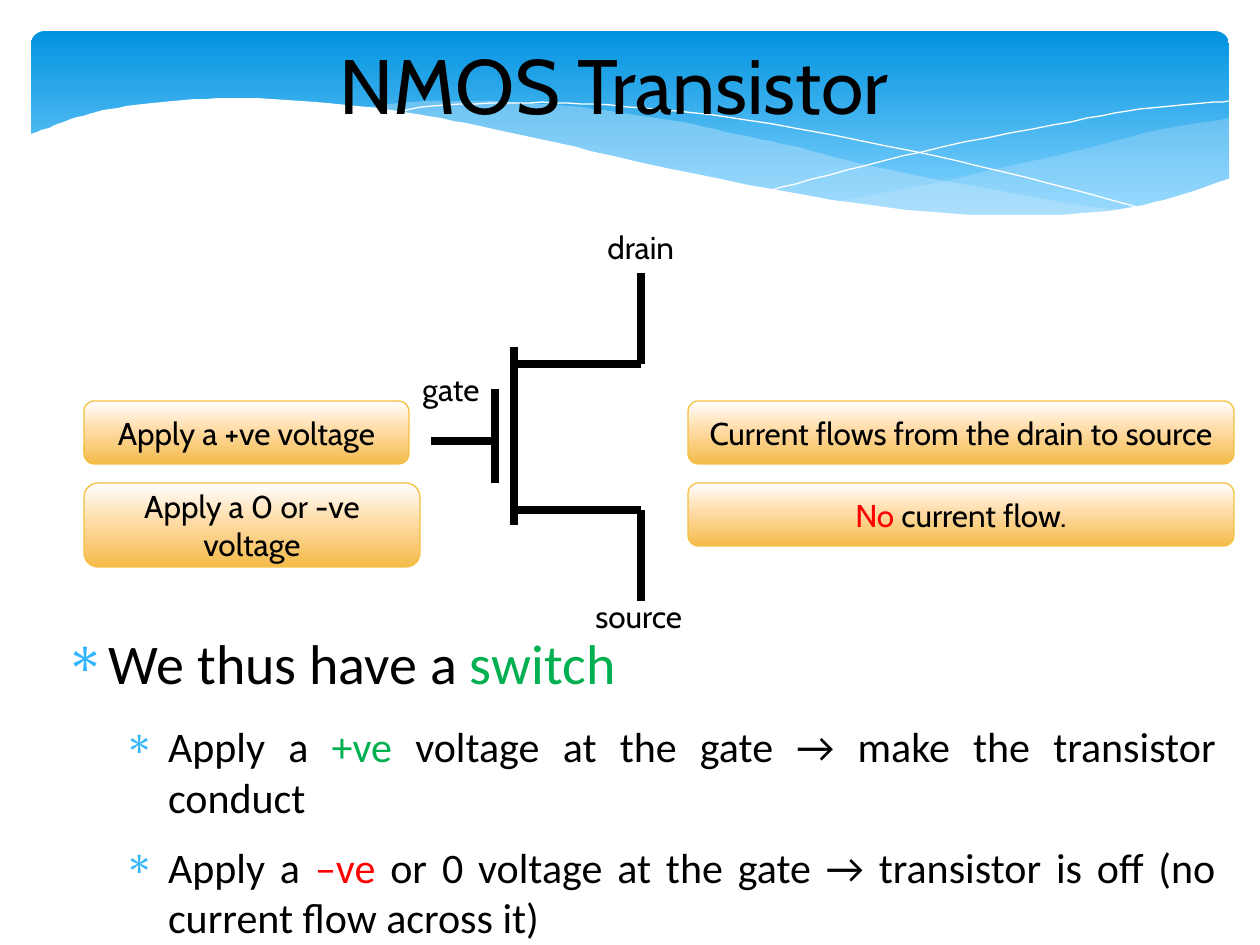
from typing import NamedTuple, Optional

from lxml import etree
from pptx import Presentation
from pptx import util as u
from pptx.dml.color import RGBColor
from pptx.enum import shapes, text
from pptx.oxml import ns

PX = 914400 / 126
BLACK = RGBColor(0, 0, 0)
WHITE = RGBColor(255, 255, 255)
RED = RGBColor(255, 0, 0)
GREEN = RGBColor(0x00, 0xB0, 0x50)
PALE_BLUE = RGBColor(0xC6, 0xE7, 0xFC)
BULLET_BLUE = RGBColor(0x31, 0xB6, 0xFD)
GOLD = RGBColor(0xF5, 0xC0, 0x40)
HEADER_STOPS = [(0, RGBColor(0x02, 0x93, 0xE0)), (90, RGBColor(0x83, 0xD3, 0xFE))]
CALLOUT_STOPS = [(0, WHITE), (44, RGBColor(0xFF, 0xDD, 0xAA)), (100, RGBColor(0xF4, 0xBB, 0x4A))]

Points = list[tuple[int, int]]


class Span(NamedTuple):
    words: str
    color: RGBColor = BLACK


class Callout(NamedTuple):
    left: int
    top: int
    width: int
    height: int
    spans: list[Span]


class Label(NamedTuple):
    left: int
    top: int
    width: int
    words: str


class Wave(NamedTuple):
    edges: list[Points]
    fill: Optional[RGBColor] = None
    alpha: int = 100


class Wire(NamedTuple):
    x1: int
    y1: int
    x2: int
    y2: int


class Bullet(NamedTuple):
    level: int
    size: int
    after: float
    spans: list[Span]


WAVES = [
    Wave([[(1229, 118), (1159, 130), (1085, 149), (1014, 165), (949, 180), (890, 192), (833, 202)],
          [(833, 202), (888, 208), (954, 214), (1026, 217), (1087, 214), (1130, 208),
           (1178, 197), (1213, 185), (1230, 178)]], PALE_BLUE, 29),
    Wave([[(1125, 210), (1091, 207), (1017, 194), (934, 179), (842, 159), (793, 146), (736, 134),
           (682, 122), (616, 112), (557, 105), (479, 101), (413, 102), (360, 108)],
          [(360, 108), (431, 118), (509, 134), (566, 146), (668, 170), (757, 189), (838, 203),
           (910, 212), (989, 217), (1043, 218), (1092, 214), (1125, 210)]], PALE_BLUE, 40),
    Wave([[(389, 113), (433, 106), (505, 103), (567, 103), (643, 108), (733, 118), (838, 136),
           (958, 161), (1047, 183), (1143, 209)]]),
    Wave([[(772, 190), (847, 170), (942, 147), (1053, 125), (1128, 111), (1182, 105), (1229, 101)]]),
    Wave([[(1231, 178), (1184, 194), (1133, 207), (1071, 214), (1019, 215), (959, 214), (892, 208),
           (816, 197), (730, 181), (634, 161), (563, 144), (493, 129), (428, 116), (368, 107),
           (315, 102), (243, 98), (184, 100), (134, 105), (96, 112), (66, 121), (45, 129), (29, 135)],
          [(29, 282), (1231, 282)]], WHITE),
]
CALLOUTS = [
    Callout(84, 401, 325, 63, [Span("Apply a +ve voltage")]),
    Callout(688, 401, 546, 63, [Span("Current flows from the drain to source")]),
    Callout(84, 483, 336, 84, [Span("Apply a 0 or -ve voltage")]),
    Callout(688, 483, 546, 63, [Span("No", RED), Span(" current flow.")]),
]
LABELS = [Label(595, 222, 94, "drain"), Label(583, 591, 116, "source"), Label(410, 364, 86, "gate")]
WIRES = [
    Wire(431, 441, 495, 441), Wire(495, 389, 495, 483), Wire(514, 347, 514, 525),
    Wire(514, 364, 641, 364), Wire(641, 273, 641, 364),
    Wire(514, 510, 641, 510), Wire(641, 510, 641, 601),
]
BULLETS = [
    Bullet(0, 32, 14.1, [Span("We thus have a "), Span("switch", GREEN)]),
    Bullet(1, 24, 11.3, [Span("Apply a "), Span("+ve ", GREEN),
                         Span("voltage at the gate → make the transistor conduct")]),
    Bullet(1, 24, 11.3, [Span("Apply a "), Span("–ve ", RED),
                         Span("or 0 voltage at the gate → transistor is off (no current flow across it)")]),
]


def px(*lengths: int) -> list[u.Emu]:
    return [u.Emu(round(length * PX)) for length in lengths]


def smooth(knots: Points, steps: int = 5) -> Points:
    padded = [knots[0], *knots, knots[-1]]
    curve = [knots[0]]
    for a, b, c, d in zip(padded, padded[1:], padded[2:], padded[3:]):
        for t in (step / steps for step in range(1, steps + 1)):
            curve.append(tuple(
                (2 * q + (r - p) * t + (2 * p - 5 * q + 4 * r - s) * t ** 2
                 + (3 * q - p - 3 * r + s) * t ** 3) / 2
                for p, q, r, s in zip(a, b, c, d)))
    return curve


def write(paragraph, spans: list[Span], size: int, font: str) -> None:
    for span in spans:
        run = paragraph.add_run()
        run.text = span.words
        run.font.size = u.Pt(size)
        run.font.name = font
        run.font.color.rgb = span.color


def fill_gradient(shape, stops: list[tuple[int, RGBColor]]) -> None:
    shape.fill.gradient()
    shape.fill.gradient_angle = 270
    stop_list = shape.fill._xPr.find(".//" + ns.qn("a:gsLst"))
    for old in list(stop_list):
        stop_list.remove(old)
    for percent, color in stops:
        stop = etree.SubElement(stop_list, ns.qn("a:gs"), pos=str(percent * 1000))
        etree.SubElement(stop, ns.qn("a:srgbClr"), val=str(color))


def draw_panel(slide, box: tuple[int, int, int, int], stops: list[tuple[int, RGBColor]]):
    panel = slide.shapes.add_shape(shapes.MSO_SHAPE.ROUNDED_RECTANGLE, *px(*box))
    panel.shadow.inherit = False
    fill_gradient(panel, stops)
    return panel


def draw_wave(slide, wave: Wave) -> None:
    outline = [point for edge in wave.edges for point in smooth(edge)]
    builder = slide.shapes.build_freeform(*outline[0], scale=PX)
    builder.add_line_segments(outline[1:], close=wave.fill is not None)
    ribbon = builder.convert_to_shape()
    ribbon.shadow.inherit = False
    if wave.fill is None:
        ribbon.fill.background()
        ribbon.line.color.rgb = WHITE
        ribbon.line.width = u.Pt(0)
        return
    ribbon.line.fill.background()
    ribbon.fill.solid()
    ribbon.fill.fore_color.rgb = wave.fill
    if wave.alpha < 100:
        color = ribbon._element.spPr.find(".//" + ns.qn("a:srgbClr"))
        etree.SubElement(color, ns.qn("a:alpha"), val=str(wave.alpha * 1000))


def draw_callout(slide, callout: Callout) -> None:
    button = draw_panel(slide, callout[:4], CALLOUT_STOPS)
    button.line.color.rgb = GOLD
    button.line.width = u.Pt(0.75)
    button.text_frame.word_wrap = True
    button.text_frame.vertical_anchor = text.MSO_ANCHOR.MIDDLE
    caption = button.text_frame.paragraphs[0]
    caption.alignment = text.PP_ALIGN.CENTER
    write(caption, callout.spans, 18, "Cabin")


def draw_label(slide, label: Label) -> None:
    frame = slide.shapes.add_textbox(*px(label.left, label.top, label.width, 50)).text_frame
    frame.word_wrap = False
    frame.auto_size = text.MSO_AUTO_SIZE.SHAPE_TO_FIT_TEXT
    write(frame.paragraphs[0], [Span(label.words)], 18, "Cabin")


def draw_wire(slide, wire: Wire) -> None:
    lead = slide.shapes.add_connector(shapes.MSO_CONNECTOR.STRAIGHT, *px(*wire))
    lead.line.color.rgb = BLACK
    lead.line.width = u.Pt(4.5)
    etree.SubElement(lead._element.spPr, ns.qn("a:effectLst"))


def write_bullet(paragraph, bullet: Bullet) -> None:
    paragraph.level = bullet.level
    paragraph.alignment = text.PP_ALIGN.JUSTIFY
    paragraph.space_after = u.Pt(bullet.after)
    write(paragraph, bullet.spans, bullet.size, "Calibri")
    properties = paragraph._p.get_or_add_pPr()
    margin, hanging = px(59 * (bullet.level + 1), -44)
    properties.set("marL", str(margin))
    properties.set("indent", str(hanging))
    color = etree.SubElement(properties, ns.qn("a:buClr"))
    etree.SubElement(color, ns.qn("a:srgbClr"), val=str(BULLET_BLUE))
    etree.SubElement(properties, ns.qn("a:buChar"), char="∗")


def main() -> None:
    deck = Presentation()
    deck.slide_width, deck.slide_height = px(1260, 945)
    slide = deck.slides.add_slide(deck.slide_layouts[6])

    header = draw_panel(slide, (31, 31, 1198, 197), HEADER_STOPS)
    header.adjustments[0] = 0.07
    header.line.fill.background()
    for wave in WAVES:
        draw_wave(slide, wave)

    title = slide.shapes.add_textbox(*px(21, 31, 1187, 106)).text_frame
    title.word_wrap = True
    title.paragraphs[0].alignment = text.PP_ALIGN.CENTER
    write(title.paragraphs[0], [Span("NMOS Transistor")], 44, "Cabin")

    for callout in CALLOUTS:
        draw_callout(slide, callout)
    for label in LABELS:
        draw_label(slide, label)

    summary = slide.shapes.add_textbox(*px(50, 629, 1166, 287)).text_frame
    summary.word_wrap = True
    summary.margin_left = summary.margin_right = summary.margin_top = summary.margin_bottom = 0
    for index, bullet in enumerate(BULLETS):
        write_bullet(summary.add_paragraph() if index else summary.paragraphs[0], bullet)

    for wire in WIRES:
        draw_wire(slide, wire)
    deck.save("out.pptx")


if __name__ == "__main__":
    main()
